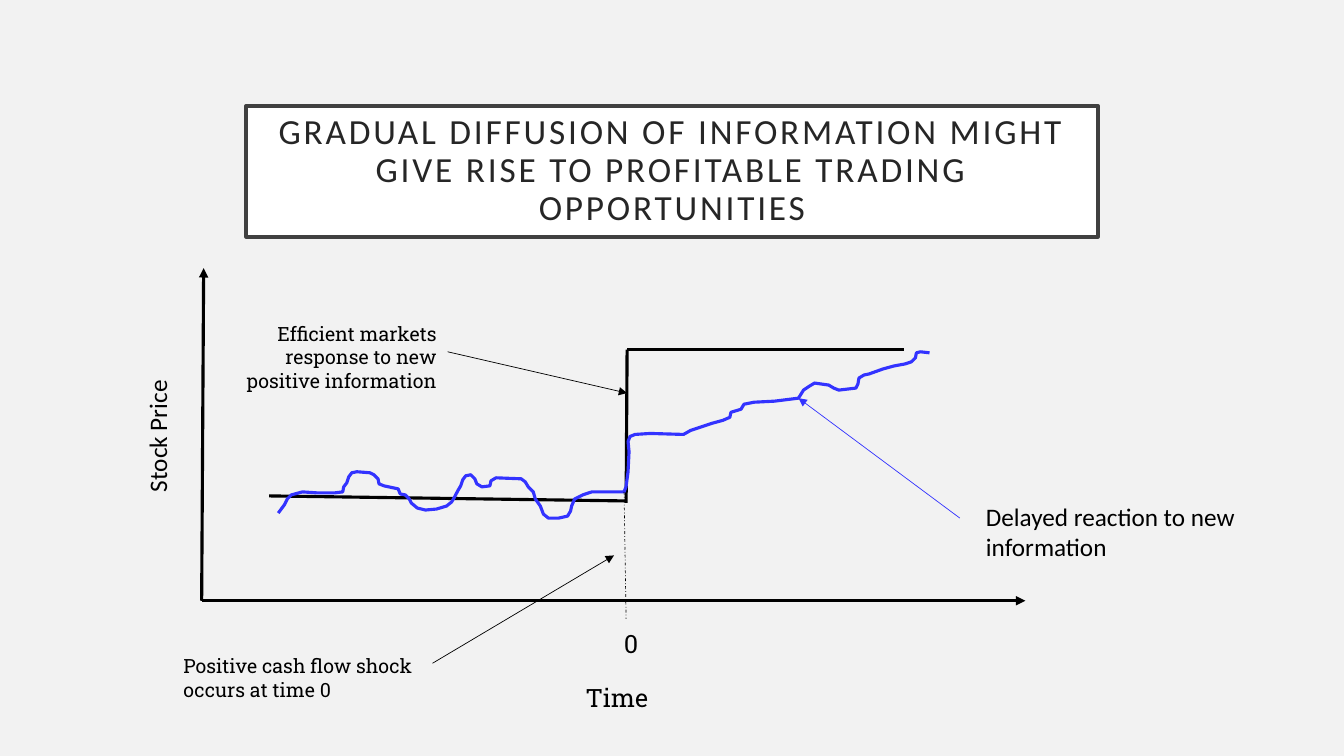
from lxml import etree
from pptx import Presentation, util as u
from pptx.dml.color import RGBColor
from pptx.enum import dml, shapes, text
from pptx.oxml.ns import qn

HUES = {"back": "F2F2F2", "white": "FFFFFF", "frame": "404040",
        "title": "262626", "black": "000000", "blue": "3333FF"}
SANS, SLAB = "Calibri", "Roboto Slab"
THICK, THIN = 2.25, 0.5

# Points of the delayed price path, in inches
PRICE = [
    (2.76, 5.09), (2.82, 5.01), (2.85, 4.95), (2.89, 4.91), (3, 4.88),
    (3.15, 4.89), (3.32, 4.89), (3.4, 4.88), (3.41, 4.83), (3.44, 4.79),
    (3.46, 4.73), (3.49, 4.69), (3.54, 4.68), (3.67, 4.69), (3.71, 4.71),
    (3.75, 4.75), (3.76, 4.8), (3.81, 4.82), (3.95, 4.85), (3.97, 4.9),
    (4.02, 4.91), (4.06, 4.95), (4.08, 4.99), (4.14, 5.04), (4.22, 5.06),
    (4.33, 5.05), (4.43, 5.02), (4.48, 4.98), (4.51, 4.93), (4.54, 4.87),
    (4.57, 4.82), (4.59, 4.76), (4.62, 4.72), (4.67, 4.71), (4.71, 4.75),
    (4.73, 4.8), (4.78, 4.83), (4.86, 4.82), (4.87, 4.77), (4.92, 4.74),
    (5.17, 4.75), (5.21, 4.78), (5.24, 4.83), (5.29, 4.88), (5.31, 4.95),
    (5.36, 5.02), (5.39, 5.1), (5.44, 5.14), (5.54, 5.14), (5.63, 5.12),
    (5.66, 5.07), (5.67, 5.02), (5.7, 4.95), (5.78, 4.91), (5.87, 4.88),
    (6.19, 4.88), (6.21, 4.83), (6.23, 4.68), (6.24, 4.48), (6.23, 4.38),
    (6.25, 4.33), (6.3, 4.31), (6.45, 4.3), (6.78, 4.31), (6.85, 4.27),
    (6.97, 4.23), (7.06, 4.2), (7.17, 4.17), (7.24, 4.14), (7.25, 4.09),
    (7.35, 4.06), (7.38, 4.01), (7.48, 3.99), (7.68, 3.98), (7.92, 3.95),
    (7.97, 3.87), (8.03, 3.83), (8.08, 3.8), (8.22, 3.82), (8.27, 3.85),
    (8.32, 3.87), (8.49, 3.85), (8.51, 3.81), (8.52, 3.75), (8.57, 3.72),
    (8.62, 3.71), (8.76, 3.66), (8.87, 3.63), (8.98, 3.61), (9.04, 3.59),
    (9.08, 3.55), (9.09, 3.5), (9.13, 3.49), (9.22, 3.5)]


def size(inch):
    return u.Cm(inch * 2.54)


def hue(name):
    return RGBColor.from_string(HUES[name])


def pen(line, name, width):
    line.color.rgb = hue(name)
    line.width = u.Pt(width)


def style(frame, font, points, name, align):
    frame.word_wrap = True
    para = frame.paragraphs[0]
    para.alignment = align
    for run in para.runs:
        run.font.name = font
        run.font.size = u.Pt(points)
        run.font.color.rgb = hue(name)


def title(slide, words):
    box = slide.shapes.add_shape(
        shapes.MSO_SHAPE.RECTANGLE, *map(size, (2.44, 1.05, 8.45, 1.3)))
    box.shadow.inherit = False
    box.fill.solid()
    box.fill.fore_color.rgb = hue("white")
    pen(box.line, "frame", 2.5)
    frame = box.text_frame
    frame.text = words
    frame.vertical_anchor = text.MSO_ANCHOR.MIDDLE
    frame.margin_left = frame.margin_right = size(0.2)
    frame.margin_top = frame.margin_bottom = size(0.2)
    style(frame, SANS, 25.2, "title", text.PP_ALIGN.CENTER)
    para = frame.paragraphs[0]
    para.line_spacing = 0.9
    para.runs[0].font._element.set("spc", "200")


def label(slide, words, area, font=SLAB, points=18,
          align=text.PP_ALIGN.LEFT, turn=False):
    box = slide.shapes.add_textbox(*map(size, area))
    frame = box.text_frame
    frame.text = words
    style(frame, font, points, "black", align)
    if turn:
        frame._txBody.bodyPr.set("vert", "vert270")


def line(slide, start, end, width=THICK, name="black", arrow=False,
         dash=None):
    link = slide.shapes.add_connector(
        shapes.MSO_CONNECTOR.STRAIGHT, *map(size, start + end))
    pen(link.line, name, width)
    if dash:
        link.line.dash_style = dash
    if arrow:
        etree.SubElement(link.line._get_or_add_ln(), qn("a:tailEnd"),
                         type="triangle")
    etree.SubElement(link._element.spPr, qn("a:effectLst"))


def curve(slide, points):
    spots = [(size(x), size(y)) for x, y in points]
    form = slide.shapes.build_freeform(*spots[0])
    form.add_line_segments(spots[1:], close=False)
    path = form.convert_to_shape()
    path.shadow.inherit = False
    path.fill.background()
    pen(path.line, "blue", THICK)


def main():
    deck = Presentation()
    deck.slide_width, deck.slide_height = size(13.33), size(7.5)
    slide = deck.slides.add_slide(deck.slide_layouts[6])
    slide.background.fill.solid()
    slide.background.fill.fore_color.rgb = hue("back")

    title(slide, "GRADUAL DIFFUSION OF INFORMATION MIGHT GIVE RISE TO "
                 "PROFITABLE TRADING OPPORTUNITIES")

    # Axes
    zero = (2, 5.96)
    line(slide, zero, (2.02, 2.66), arrow=True)
    line(slide, zero, (10.17, 5.96), arrow=True)
    label(slide, "Time", (5.71, 6.72, 7.03, 0.4))
    label(slide, "Stock Price", (1.36, 3.54, 0.5, 1.44), SANS, turn=True)

    # Efficient response
    line(slide, (2.67, 4.92), (6.21, 4.97))
    line(slide, (6.21, 4.99), (6.22, 3.47))
    line(slide, (6.22, 3.47), (8.97, 3.47))
    line(slide, (4.44, 3.49), (6.22, 3.9), THIN, arrow=True)
    label(slide, "Efficient markets response to new positive information",
          (2.22, 3.14, 2.21, 0.81), points=14, align=text.PP_ALIGN.RIGHT)

    # Delayed response
    curve(slide, PRICE)
    line(slide, (9.52, 5.14), (7.92, 3.95), THIN, "blue", arrow=True)
    label(slide, "Delayed reaction to new information",
          (9.68, 4.92, 2.98, 0.71), SANS)

    # Shock at time 0
    line(slide, (6.19, 4.88), (6.21, 6.14), THIN,
         dash=dml.MSO_LINE.DASH_DOT)
    label(slide, "0", (6.09, 6.18, 0.36, 0.4))
    line(slide, (4.29, 6.58), (6.09, 5.51), THIN, arrow=True)
    label(slide, "Positive cash flow shock occurs at time 0",
          (1.72, 6.44, 2.56, 0.57), points=14)

    deck.save("out.pptx")


if __name__ == "__main__":
    main()
